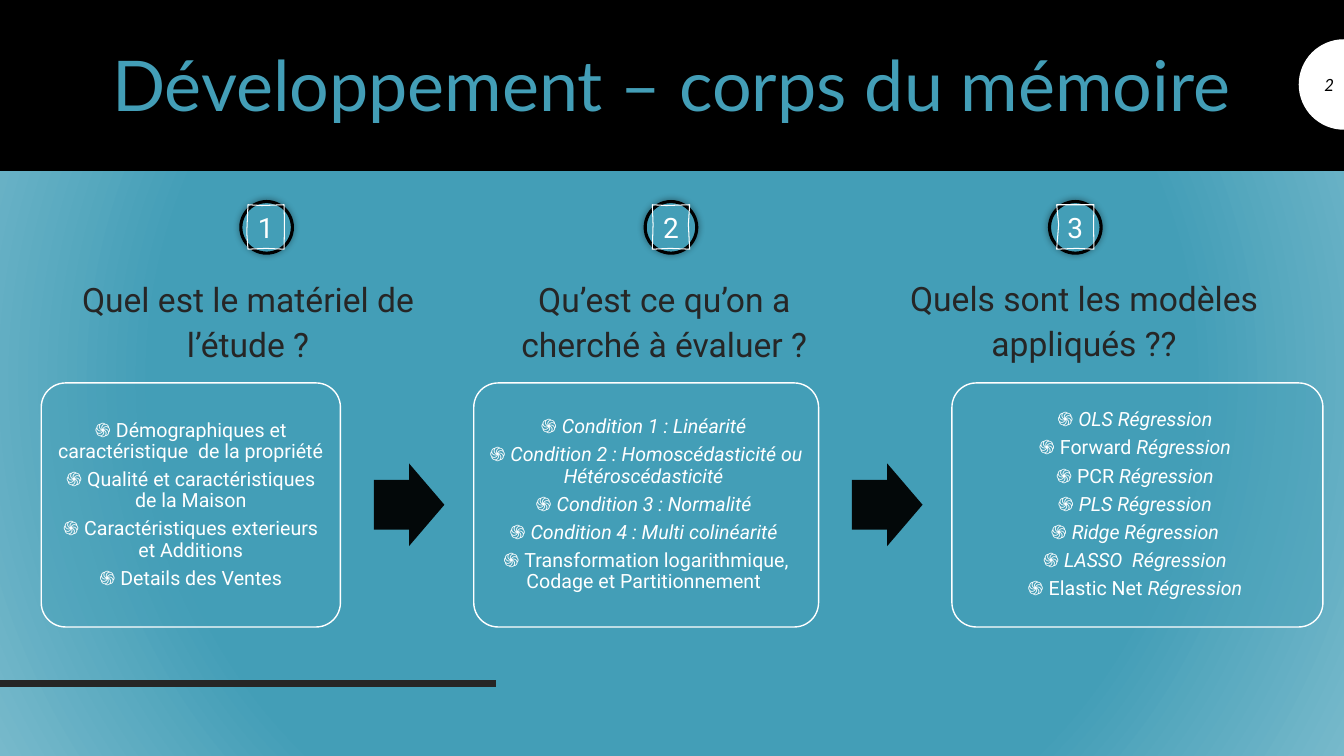
from math import cos, pi, sin

from pptx import Presentation
from pptx.dml.color import RGBColor
from pptx.enum.shapes import MSO_CONNECTOR, MSO_SHAPE
from pptx.enum.text import MSO_ANCHOR, MSO_AUTO_SIZE, PP_ALIGN
from pptx.oxml import parse_xml
from pptx.oxml.ns import nsdecls, qn
from pptx.util import Cm, Pt

TEAL, PALE_TEAL = "439EB7", "77B9CB"
BLACK, WHITE, DARK = "000000", "FFFFFF", "262626"
WIDTH, HEIGHT = 33.87, 19.05
TITLE = "Développement – corps du mémoire"

# Heading text, left, top, width
HEADINGS = [
    ("Quel est le matériel de l’étude ?", 1.6, 6.78, 9.3),
    ("Qu’est ce qu’on a cherché à évaluer ?", 12.09, 6.78, 9.3),
    ("Quels sont les modèles appliqués ??", 21.77, 6.76, 11.1),
]
# Hand-drawn frames around the numbers, relative to their left and top
FRAMES = [
    [(0, 0), (0.35, 0.02), (0.91, 0), (0.92, 0.5), (0.91, 1.12), (0.45, 1.1), (0, 1.12), (-0.03, 0.7)],
    [(0, 0), (0.35, 0.02), (0.94, 0), (0.91, 0.5), (0.94, 1.12), (0.45, 1.1), (0, 1.12), (0.02, 0.5)],
    [(0, 0), (0.45, 0), (0.94, 0), (0.93, 0.5), (0.94, 1.12), (0.5, 1.1), (0, 1.12), (0.05, 0.5)],
]
# Card width and its lines, each an upright and an italic part
CARDS = [
    (7.54, [
        ("Démographiques et caractéristique  de la propriété", ""),
        ("Qualité et caractéristiques de la Maison", ""),
        ("Caractéristiques exterieurs et Additions", ""),
        ("Details des Ventes", ""),
    ]),
    (8.69, [
        ("", "Condition 1 : Linéarité "),
        ("", "Condition 2 : Homoscédasticité ou Hétéroscédasticité "),
        ("", "Condition 3 : Normalité "),
        ("", "Condition 4 : Multi colinéarité "),
        ("Transformation logarithmique, Codage et Partitionnement ", ""),
    ]),
    (9.35, [
        ("", "OLS Régression "),
        ("Forward ", "Régression "),
        ("PCR ", "Régression "),
        ("", "PLS Régression "),
        ("", "Ridge Régression "),
        ("", "LASSO  Régression "),
        ("Elastic Net ", "Régression "),
    ]),
]


def rgb(value):
    return RGBColor.from_string(value)


def place(shape, left, top, width, height):
    shape.left, shape.top = Cm(left), Cm(top)
    shape.width, shape.height = Cm(width), Cm(height)


def add_run(paragraph, text, size, color, font="Roboto", italic=False):
    run = paragraph.add_run()
    run.text = text
    run.font.size, run.font.name = Pt(size), font
    run.font.bold, run.font.italic = False, italic
    run.font.color.rgb = rgb(color)


def set_frame(shape, anchor, inset=None):
    frame = shape.text_frame
    frame.word_wrap = True
    frame.auto_size = MSO_AUTO_SIZE.NONE
    frame.vertical_anchor = anchor
    if inset is not None:
        frame.margin_left = frame.margin_right = Cm(inset)
        frame.margin_top = frame.margin_bottom = Cm(inset)
    return frame


def style(shape, fill=None, line=None, line_width=1, opacity=100):
    shape.shadow.inherit = False
    if fill:
        shape.fill.solid()
        shape.fill.fore_color.rgb = rgb(fill)
        if opacity < 100:
            color = shape.element.spPr.find(qn("a:solidFill"))[0]
            color.append(parse_xml(f'<a:alpha {nsdecls("a")} val="{opacity * 1000}"/>'))
    else:
        shape.fill.background()
    if line:
        shape.line.color.rgb = rgb(line)
        shape.line.width = Pt(line_width)
    else:
        shape.line.fill.background()


def add_preset(slide, kind, left, top, width, height, **look):
    shape = slide.shapes.add_shape(kind, Cm(left), Cm(top), Cm(width), Cm(height))
    style(shape, **look)
    return shape


def add_outline(slide, points, **look):
    points = [(Cm(x), Cm(y)) for x, y in points]
    builder = slide.shapes.build_freeform(*points[0])
    builder.add_line_segments(points[1:], close=True)
    shape = builder.convert_to_shape()
    style(shape, **look)
    return shape


def set_background(slide):
    slide.background.fill.solid()
    properties = slide.element.find(".//" + qn("p:bgPr"))
    properties.replace(properties[0], parse_xml(
        f'<a:gradFill {nsdecls("a")} rotWithShape="1"><a:gsLst>'
        f'<a:gs pos="67000"><a:srgbClr val="{TEAL}"/></a:gs>'
        f'<a:gs pos="100000"><a:srgbClr val="{PALE_TEAL}"/></a:gs></a:gsLst>'
        '<a:path path="circle"><a:fillToRect l="50000" t="50000" r="50000" b="50000"/>'
        '</a:path></a:gradFill>'))


def add_bottom_line(slide):
    line = slide.shapes.add_connector(MSO_CONNECTOR.STRAIGHT, 0, Cm(17.22), Cm(12.5), Cm(17.22))
    line.line.color.rgb = rgb(DARK)
    line.line.width = Pt(4.5)
    line.element.spPr.append(parse_xml(f'<a:effectLst {nsdecls("a")}/>'))


def add_title(slide):
    add_preset(slide, MSO_SHAPE.RECTANGLE, 0, 0, WIDTH, 4.29, fill=BLACK, line=BLACK)
    title = slide.shapes.title
    title.element.getparent().append(title.element)  # in front of the band
    place(title, 2.11, 0.84, 29.64, 2.79)
    paragraph = set_frame(title, MSO_ANCHOR.MIDDLE).paragraphs[0]
    paragraph.alignment, paragraph.line_spacing = PP_ALIGN.CENTER, 0.9
    add_run(paragraph, TITLE, 50, TEAL, "Lato")


def add_page_number(slide):
    radius, center_y, steps = 1.14, 2.13, 32
    angles = [pi / 2 + pi * step / steps for step in range(steps + 1)]
    add_outline(slide, [(WIDTH + radius * cos(a), center_y + radius * sin(a)) for a in angles], fill=WHITE)
    box = slide.shapes.add_textbox(Cm(WIDTH - radius), Cm(1.63), Cm(radius), Cm(1.02))
    paragraph = set_frame(box, MSO_ANCHOR.MIDDLE).paragraphs[0]
    paragraph.alignment = PP_ALIGN.RIGHT
    add_run(paragraph, "2", 12, BLACK, "Lato", italic=True)


def add_heading(placeholder, text, left, top, width):
    place(placeholder, left, top, width, 2.79)
    paragraph = set_frame(placeholder, MSO_ANCHOR.TOP).paragraphs[0]
    paragraph.alignment, paragraph.line_spacing = PP_ALIGN.CENTER, 1.12
    paragraph.space_before = Pt(9)
    add_run(paragraph, text, 24, DARK)
    properties = paragraph._p.get_or_add_pPr()
    properties.set("marL", "0")
    properties.set("indent", "0")
    properties.append(parse_xml(f'<a:buNone {nsdecls("a")}/>'))


def add_number(slide, index, outline):
    left = 6.07 + 10.19 * index
    circle = add_preset(slide, MSO_SHAPE.OVAL, left, 5.08, 1.3, 1.3, fill=TEAL, line=BLACK, line_width=2.25)
    circle.element.spPr.find(qn("a:effectLst")).append(parse_xml(
        f'<a:outerShdw {nsdecls("a")} blurRad="63500" dist="0" dir="0">'
        f'<a:srgbClr val="{BLACK}"><a:alpha val="40000"/></a:srgbClr></a:outerShdw>'))
    points = [(left + 0.18 + x, 5.16 + y) for x, y in outline]
    frame_shape = add_outline(slide, points, line=WHITE, line_width=0.75)
    paragraph = set_frame(frame_shape, MSO_ANCHOR.MIDDLE, 0).paragraphs[0]
    paragraph.alignment = PP_ALIGN.CENTER
    add_run(paragraph, str(index + 1), 20, WHITE)


def add_card(slide, left, width, lines):
    card = add_preset(slide, MSO_SHAPE.ROUNDED_RECTANGLE, left, 9.65, width, 6.15,
                      fill=TEAL, line=WHITE, opacity=40)
    card.adjustments[0] = 0.1
    frame = set_frame(card, MSO_ANCHOR.MIDDLE, 0.15)
    for index, (upright, italic) in enumerate(lines):
        paragraph = frame.add_paragraph() if index else frame.paragraphs[0]
        paragraph.alignment, paragraph.line_spacing = PP_ALIGN.CENTER, 0.9
        paragraph.space_after = Pt(5)
        add_run(paragraph, "֍ " + upright, 14, WHITE)
        if italic:
            add_run(paragraph, italic, 14, WHITE, italic=True)


def add_process(slide):
    left = 1.04
    for index, (width, lines) in enumerate(CARDS):
        if index:
            arrow = add_preset(slide, MSO_SHAPE.RIGHT_ARROW, left - 2.52, 11.68, 1.78, 2.08,
                               fill=BLACK, opacity=95)
            arrow.adjustments[0] = 0.6
        add_card(slide, left, width, lines)
        left += width + 3.36


def main():
    presentation = Presentation()
    presentation.slide_width, presentation.slide_height = Cm(WIDTH), Cm(HEIGHT)
    slide = presentation.slides.add_slide(presentation.slide_layouts.get_by_name("Comparison"))
    set_background(slide)
    add_bottom_line(slide)
    add_title(slide)
    add_page_number(slide)
    bodies = [shape for shape in slide.placeholders if shape.placeholder_format.idx in range(1, 5)]
    for body, heading in zip(bodies, HEADINGS):
        add_heading(body, *heading)
    spare = bodies[-1].element
    spare.getparent().remove(spare)
    for index, outline in enumerate(FRAMES):
        add_number(slide, index, outline)
    add_process(slide)
    presentation.save("out.pptx")


if __name__ == "__main__":
    main()
